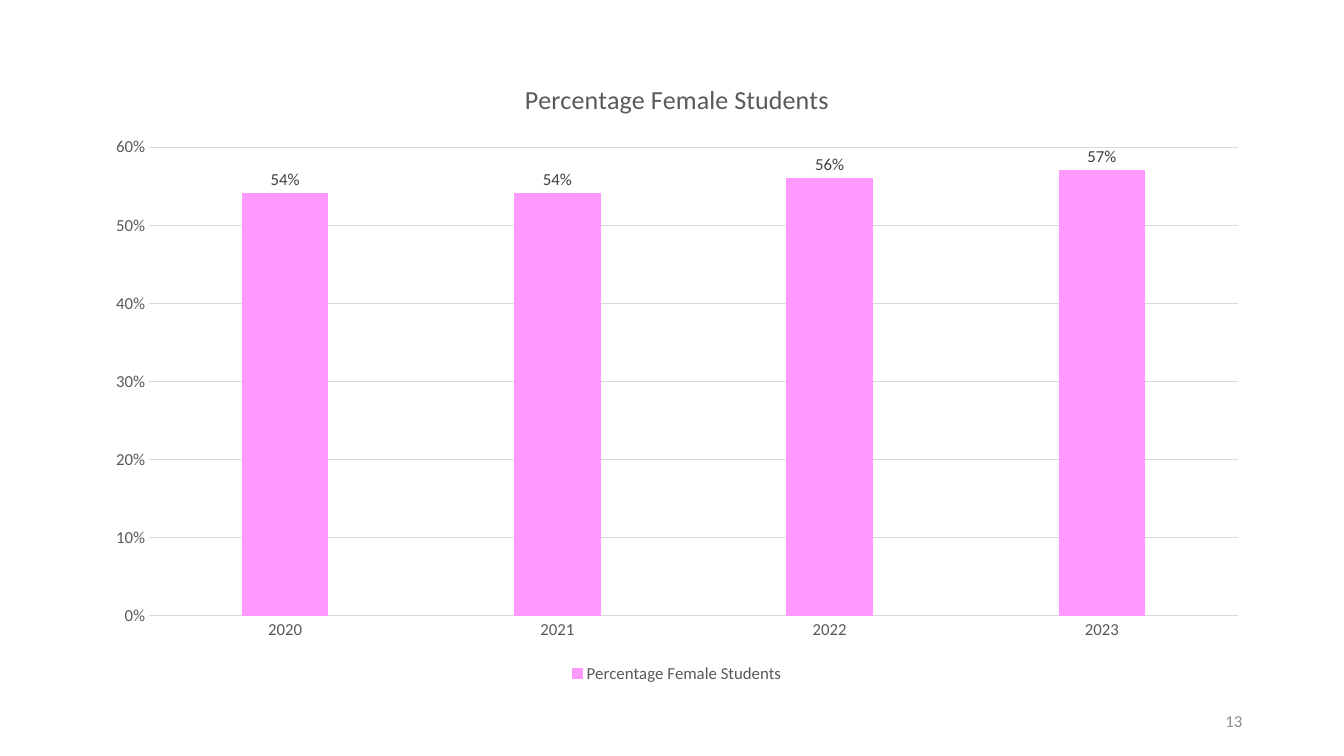
from dataclasses import dataclass

from pptx import Presentation
from pptx import util as u
from pptx.chart.data import CategoryChartData
from pptx.dml.color import RGBColor
from pptx.enum import chart as charts, text


@dataclass(frozen=True)
class Theme:
    font: str = "Calibri"
    ink: str = "595959"
    value_ink: str = "404040"
    number_ink: str = "8C8C8C"
    rule: str = "D9D9D9"
    bar: str = "FF99FF"
    title_size: float = 18.6
    body_size: float = 12
    line_width: float = 0.75


class SlideBuilder:
    """Holds the theme and the slide being built."""

    def __init__(self, slide, theme):
        self.slide = slide
        self.theme = theme

    def style_font(self, font, color, size=None):
        font.name = self.theme.font
        font.size = u.Pt(size or self.theme.body_size)
        font.bold = False
        font.color.rgb = RGBColor.from_string(color)

    def style_line(self, line, color):
        line.color.rgb = RGBColor.from_string(color)
        line.width = u.Pt(self.theme.line_width)

    def column_chart(self, box, heading, shares):
        theme = self.theme
        data = CategoryChartData(number_format="0%")
        data.categories = list(shares)
        data.add_series(heading, list(shares.values()))
        chart = self.slide.shapes.add_chart(
            charts.XL_CHART_TYPE.COLUMN_CLUSTERED,
            *map(u.Inches, box), data).chart
        self.style_font(chart.font, theme.ink)

        # Heading and legend
        chart.has_title = True
        chart.chart_title.include_in_layout = False
        chart.chart_title.text_frame.text = heading
        heading_run = chart.chart_title.text_frame.paragraphs[0].runs[0]
        self.style_font(heading_run.font, theme.ink, theme.title_size)
        chart.has_legend = True
        chart.legend.position = charts.XL_LEGEND_POSITION.BOTTOM
        chart.legend.include_in_layout = False
        self.style_font(chart.legend.font, theme.ink)

        # Axes
        years, percent = chart.category_axis, chart.value_axis
        for axis in (years, percent):
            axis.major_tick_mark = charts.XL_TICK_MARK.NONE
            axis.minor_tick_mark = charts.XL_TICK_MARK.NONE
            self.style_font(axis.tick_labels.font, theme.ink)
        self.style_line(years.format.line, theme.rule)
        percent.format.line.fill.background()
        percent.minimum_scale = 0
        percent.maximum_scale = 0.6
        percent.major_unit = 0.1
        percent.tick_labels.number_format = "0%"
        percent.tick_labels.number_format_is_linked = False
        self.style_line(percent.major_gridlines.format.line, theme.rule)

        # Columns and their values
        plot = chart.plots[0]
        plot.gap_width = 219
        plot.overlap = -27
        plot.vary_by_categories = False
        columns = plot.series[0]
        columns.invert_if_negative = False
        columns.format.fill.solid()
        columns.format.fill.fore_color.rgb = RGBColor.from_string(theme.bar)
        self.style_line(columns.format.line, theme.bar)
        values = columns.data_labels
        values.show_value = True
        values.position = charts.XL_LABEL_POSITION.OUTSIDE_END
        values.number_format = "0%"
        values.number_format_is_linked = False
        self.style_font(values.font, theme.value_ink)

    def page_number(self, box, number):
        frame = self.slide.shapes.add_textbox(*map(u.Inches, box)).text_frame
        frame.word_wrap = True
        frame.vertical_anchor = text.MSO_ANCHOR.MIDDLE
        frame.text = number
        line = frame.paragraphs[0]
        line.alignment = text.PP_ALIGN.RIGHT
        self.style_font(line.runs[0].font, self.theme.number_ink)


def main():
    deck = Presentation()
    deck.slide_width = u.Inches(13.33)
    deck.slide_height = u.Inches(7.5)
    blank_layout = deck.slide_layouts[6]
    builder = SlideBuilder(deck.slides.add_slide(blank_layout), Theme())

    # Share of female students by year
    builder.column_chart(
        (0.92, 0.58, 11.59, 6.24), "Percentage Female Students",
        {"2020": 0.54, "2021": 0.54, "2022": 0.56, "2023": 0.57})

    # Footer
    builder.page_number((9.42, 6.95, 3, 0.4), "13")

    deck.save("out.pptx")


if __name__ == "__main__":
    main()
